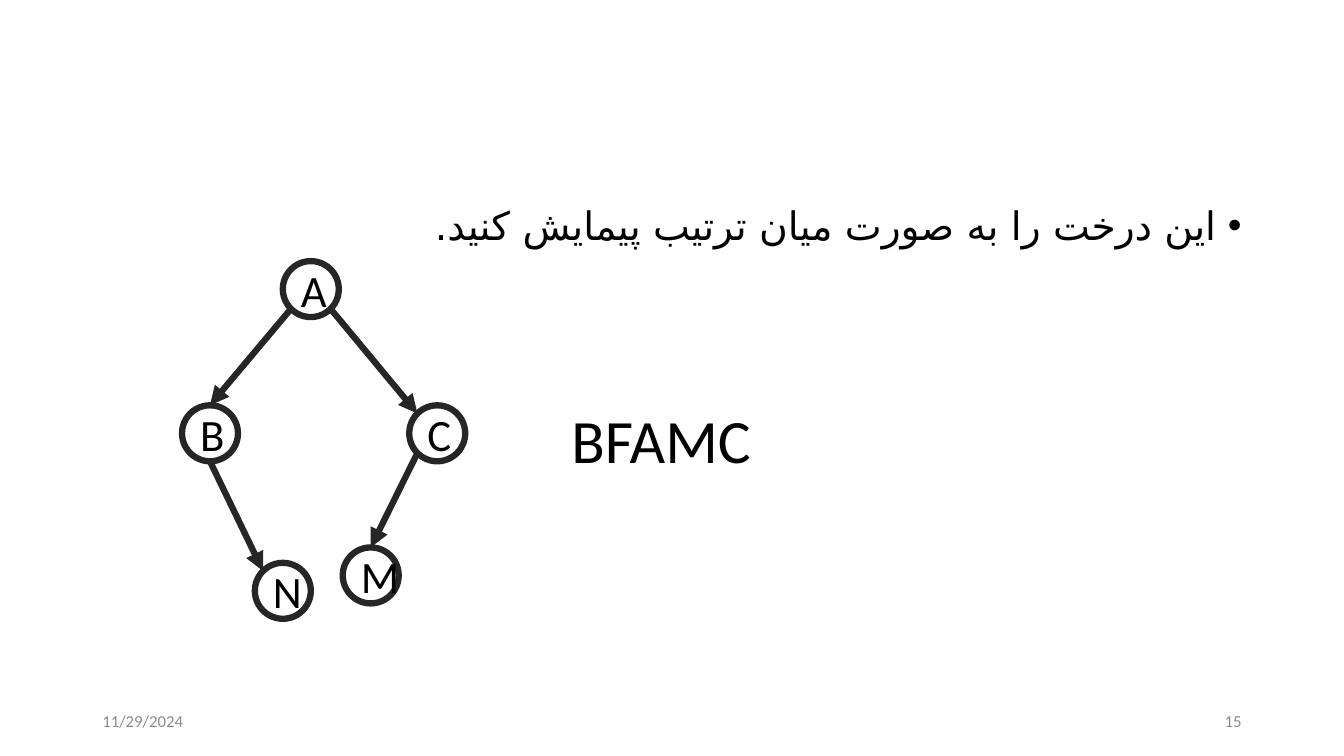
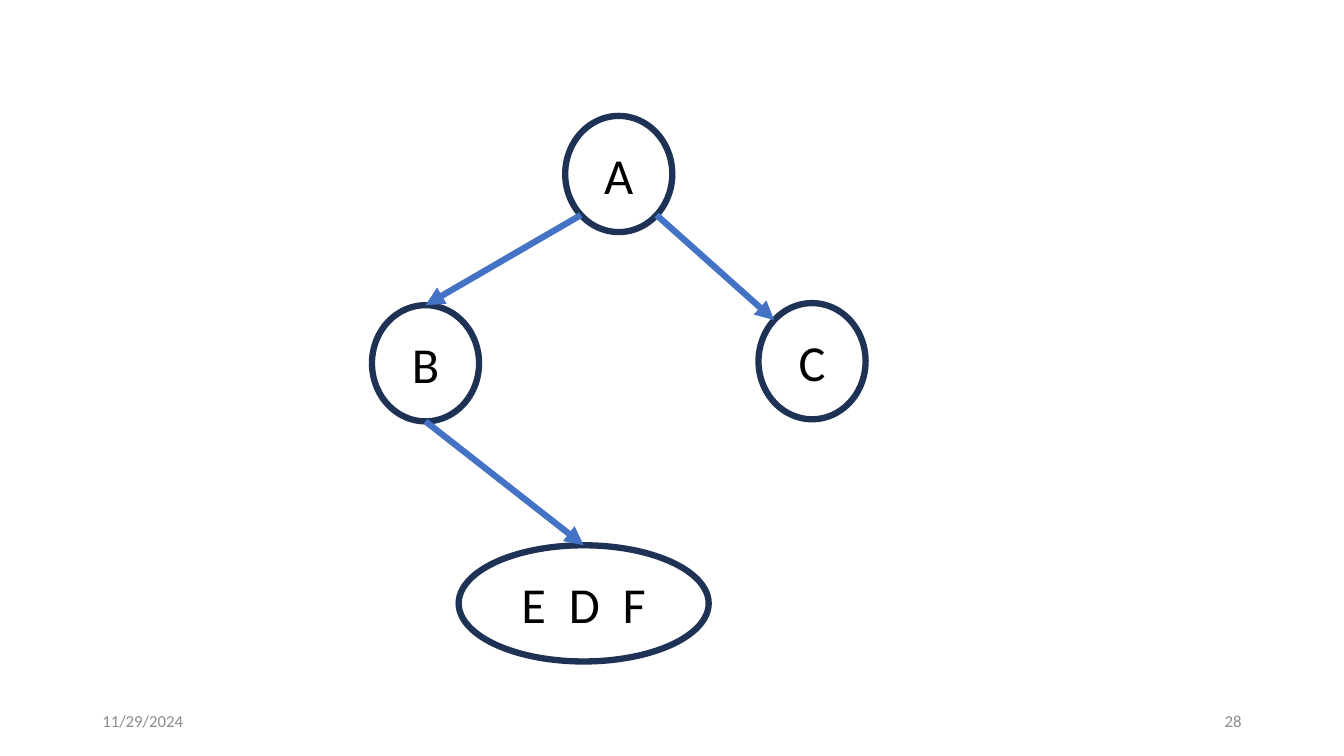
from dataclasses import dataclass
from enum import Enum
from math import sqrt

from pptx import Presentation
from pptx.dml.color import RGBColor
from pptx.enum.shapes import MSO_CONNECTOR as Connector, MSO_SHAPE as Preset
from pptx.enum.text import MSO_ANCHOR as Anchor, PP_ALIGN as Align
from pptx.oxml.ns import qn
from pptx.oxml.xmlchemy import OxmlElement
from pptx.util import Pt

FONT = "Calibri"
PERSIAN_FONT = "DejaVu Sans"
BLACK = "000000"
GREY = "8C8C8C"
CHARCOAL = "262626"
NAVY = "1E3256"
BLUE = "4472C4"
LINE_WIDTH = 4.5
DATE = "11/29/2024"
TITLE_AND_CONTENT, BLANK = 1, 6
DIAGONAL = 1 / sqrt(2)


class Site(Enum):
    """Point on an ellipse, as a share of its radii from the centre."""
    TOP = (0, -1)
    BOTTOM = (0, 1)
    TOP_LEFT = (-DIAGONAL, -DIAGONAL)
    BOTTOM_LEFT = (-DIAGONAL, DIAGONAL)
    BOTTOM_RIGHT = (DIAGONAL, DIAGONAL)


@dataclass(frozen=True)
class Node:
    label: str
    left: float
    top: float
    width: float
    height: float

    def point(self, site: Site) -> tuple[int, int]:
        across, down = site.value
        return (Pt(self.left + self.width / 2 * (1 + across)),
                Pt(self.top + self.height / 2 * (1 + down)))


@dataclass(frozen=True)
class Edge:
    parent: str
    start: Site
    child: str
    end: Site


@dataclass(frozen=True)
class Tree:
    nodes: tuple[Node, ...]
    edges: tuple[Edge, ...]
    node_color: str
    edge_color: str
    font_size: float


ROOT_EDGES = (
    Edge("A", Site.BOTTOM_LEFT, "B", Site.TOP),
    Edge("A", Site.BOTTOM_RIGHT, "C", Site.TOP_LEFT),
)
SMALL = (40, 40)
LARGE = (76.5, 83)

TRAVERSAL_TREE = Tree(
    nodes=(
        Node("A", 202, 186.5, *SMALL),
        Node("B", 130, 289.5, *SMALL),
        Node("C", 292.3, 289.5, *SMALL),
        Node("M", 244.8, 391, *SMALL),
        Node("N", 182, 402, *SMALL),
    ),
    edges=ROOT_EDGES + (
        Edge("C", Site.BOTTOM_LEFT, "M", Site.TOP),
        Edge("B", Site.BOTTOM, "N", Site.TOP_LEFT),
    ),
    node_color=CHARCOAL, edge_color=CHARCOAL, font_size=32,
)

GROUPED_TREE = Tree(
    nodes=(
        Node("A", 403.7, 82.8, *LARGE),
        Node("B", 265.7, 218, *LARGE),
        Node("C", 541.8, 216.5, *LARGE),
        Node("E  D  F", 327.6, 389.5, 178.6, 83),
    ),
    edges=ROOT_EDGES + (Edge("B", Site.BOTTOM, "E  D  F", Site.TOP),),
    node_color=NAVY, edge_color=BLUE, font_size=36,
)


def rgb(color: str) -> RGBColor:
    return RGBColor.from_string(color)


def place(shape, left: float, top: float, width: float, height: float) -> None:
    shape.left, shape.top = Pt(left), Pt(top)
    shape.width, shape.height = Pt(width), Pt(height)


def write(shape, text: str, size: float, color: str = BLACK,
          align=Align.LEFT, anchor=Anchor.MIDDLE):
    """Put one run in the shape's first paragraph and return the paragraph."""
    frame = shape.text_frame
    frame.word_wrap = True
    frame.vertical_anchor = anchor
    paragraph = frame.paragraphs[0]
    paragraph.alignment = align
    run = paragraph.add_run()
    run.text = text
    run.font.name = FONT
    run.font.size = Pt(size)
    run.font.color.rgb = rgb(color)
    return paragraph


def add_node(slide, node: Node, tree: Tree):
    shape = slide.shapes.add_shape(Preset.OVAL, Pt(node.left), Pt(node.top),
                                   Pt(node.width), Pt(node.height))
    shape.shadow.inherit = False
    shape.fill.background()
    shape.line.color.rgb = rgb(tree.node_color)
    shape.line.width = Pt(LINE_WIDTH)
    write(shape, node.label, tree.font_size, align=Align.CENTER)
    return shape


def add_arrow(slide, start, end, color: str):
    arrow = slide.shapes.add_connector(Connector.STRAIGHT, *start, *end)
    arrow.line.color.rgb = rgb(color)
    arrow.line.width = Pt(LINE_WIDTH)
    head = OxmlElement("a:tailEnd")
    head.set("type", "triangle")
    properties = arrow._element.spPr
    properties.find(qn("a:ln")).append(head)
    properties.append(OxmlElement("a:effectLst"))
    return arrow


def add_tree(slide, tree: Tree) -> None:
    nodes = {node.label: node for node in tree.nodes}
    shapes = {node.label: add_node(slide, node, tree) for node in tree.nodes}
    for edge in tree.edges:
        arrow = add_arrow(slide, nodes[edge.parent].point(edge.start),
                          nodes[edge.child].point(edge.end), tree.edge_color)
        if edge.end is Site.TOP:
            arrow.end_connect(shapes[edge.child], 0)


def add_footer(slide, number: int) -> None:
    for left, text, align in ((66, DATE, Align.LEFT),
                              (678, str(number), Align.RIGHT)):
        box = slide.shapes.add_textbox(Pt(left), Pt(500.5), Pt(216), Pt(28.75))
        write(box, text, 12, GREY, align)


def fill_title(slide, text: str) -> None:
    title = slide.shapes.title
    place(title, 401, 264.5, 158, 104.5)
    write(title, text, 44).line_spacing = 0.9


def fill_right_to_left_body(slide, text: str) -> None:
    body = slide.placeholders[1]
    place(body, 66, 143.75, 828, 342.5)
    paragraph = write(body, text, 28, align=Align.RIGHT, anchor=Anchor.TOP)
    paragraph.line_spacing = 0.9
    paragraph.space_before = Pt(10)
    properties = paragraph._p.get_or_add_pPr()
    for name, value in (("marL", Pt(18)), ("indent", -Pt(18)), ("rtl", 1)):
        properties.set(name, str(int(value)))
    bullet = OxmlElement("a:buChar")
    bullet.set("char", "•")
    properties.append(bullet)
    complex_font = OxmlElement("a:cs")
    complex_font.set("typeface", PERSIAN_FONT)
    run_properties = paragraph.runs[0].font._element
    run_properties.find(qn("a:latin")).addnext(complex_font)


def add_slide(presentation, layout: int):
    return presentation.slides.add_slide(presentation.slide_layouts[layout])


def main() -> None:
    presentation = Presentation()
    presentation.slide_width, presentation.slide_height = Pt(960), Pt(540)

    traversal = add_slide(presentation, TITLE_AND_CONTENT)
    fill_title(traversal, "BFAMC")
    fill_right_to_left_body(traversal, "این درخت را به صورت میان ترتیب پیمایش کنید.")
    add_tree(traversal, TRAVERSAL_TREE)
    add_footer(traversal, 15)

    grouped = add_slide(presentation, BLANK)
    add_tree(grouped, GROUPED_TREE)
    add_footer(grouped, 28)

    presentation.save("out.pptx")


if __name__ == "__main__":
    main()
